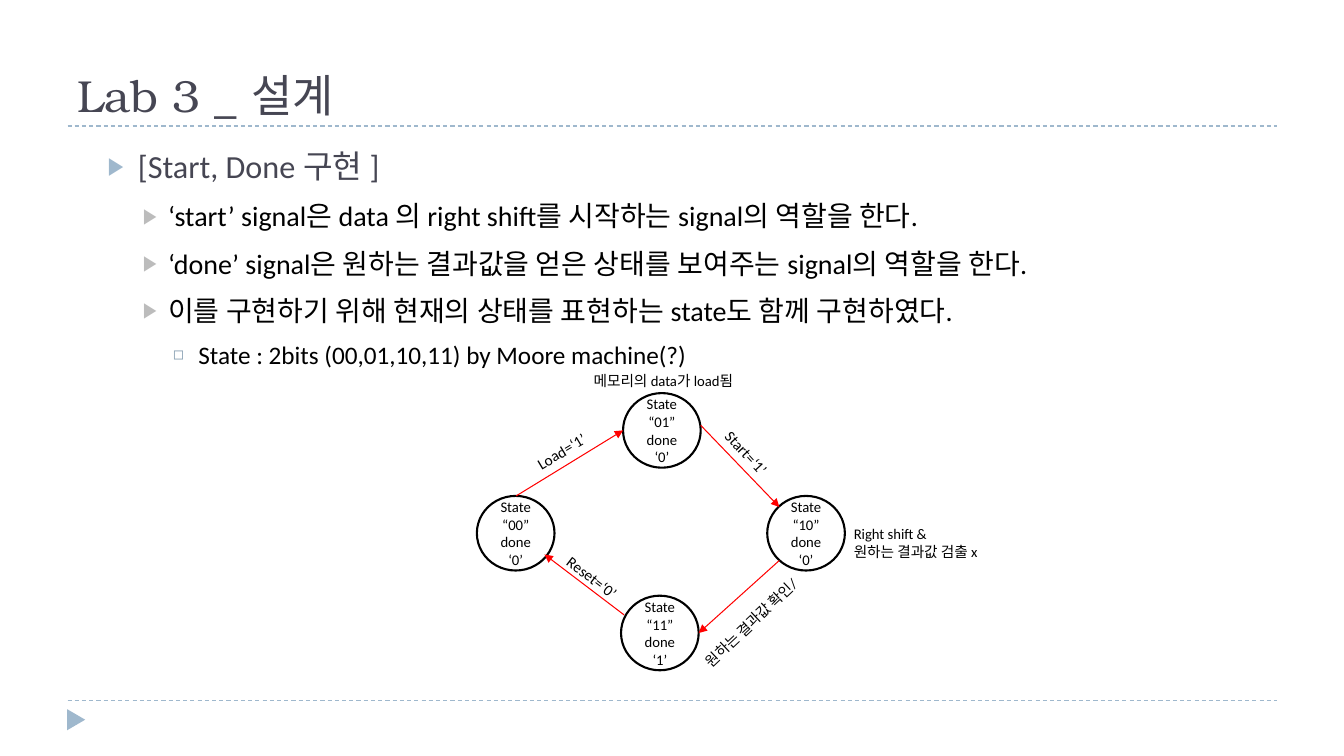
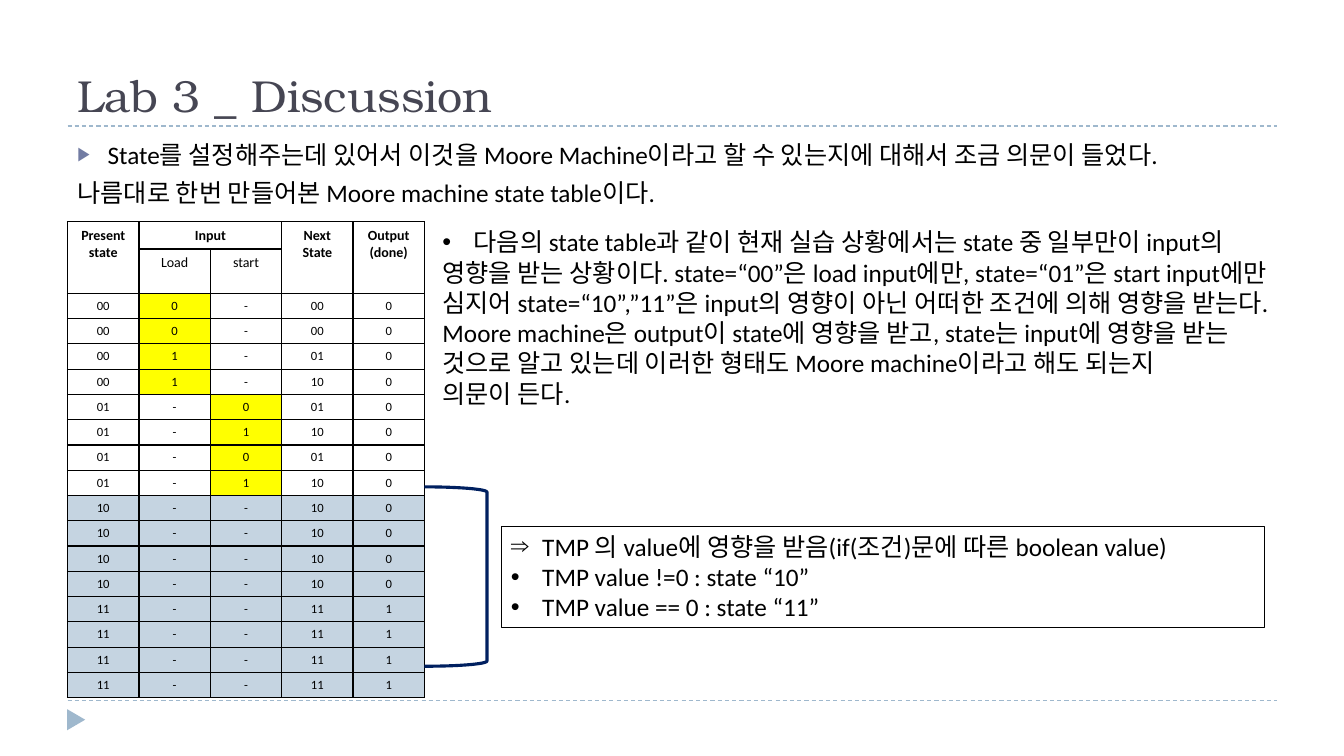
from lxml import etree
from pptx import Presentation
from pptx.dml.color import RGBColor
from pptx.enum import dml, shapes, text
from pptx.oxml import ns
from pptx.util import Inches, Pt

BLACK = RGBColor(0x00, 0x00, 0x00)
WHITE = RGBColor(0xFF, 0xFF, 0xFF)
SLATE = RGBColor(0x46, 0x46, 0x53)
PALE_BLUE = RGBColor(0x9F, 0xB8, 0xCD)
GREY = RGBColor(0xBC, 0xBC, 0xBC)
STEEL = RGBColor(0x8B, 0xA2, 0xB4)
INDIGO = RGBColor(0x72, 0x7C, 0xA3)
RED = RGBColor(0xFF, 0x00, 0x00)
NAVY = RGBColor(0x00, 0x20, 0x60)
YELLOW = RGBColor(0xFF, 0xFF, 0x00)
SHADE = RGBColor(0xC5, 0xD4, 0xE1)

BODY_FONT = "Calibri"
TITLE_FONT = "TeX Gyre Bonum"
LEFT, WIDTH = 0.67, 12
BODY_BOX = (LEFT, 1.33, WIDTH, 5.4)
STATE_SIZE = (0.77, 0.74)

STATES = [
    (4.73, 4.92, "00", "0"),
    (6.18, 3.9, "01", "0"),
    (7.61, 4.92, "10", "0"),
    (6.16, 5.91, "11", "1"),
]
TRANSITIONS = [
    ((5.12, 4.92), (6.18, 4.27)),
    ((6.95, 4.22), (7.73, 5.03)),
    ((7.73, 5.56), (6.93, 6.28)),
    ((6.19, 6.1), (5.4, 5.5)),
]
LABELS = [
    ((5.2, 4.31, 0.83, 0.29), 329.2, 11, ["Load=‘1’"]),
    ((7.03, 4.37, 0.78, 0.29), 47.4, 11, ["Start=‘1’"]),
    ((6.73, 5.97, 1.59, 0.28), 316.6, 10.5, ["원하는 결과값 확인/"]),
    ((5.47, 5.63, 0.92, 0.29), 37.5, 11, ["Reset=‘0’"]),
    ((8.37, 5.16, 1.73, 0.45), 0, 10.5, ["Right shift &", "원하는 결과값 검출 x"]),
    ((5.79, 3.64, 1.73, 0.28), 0, 10.5, ["메모리의 data가 load됨"]),
]
STATE_ROWS = (
    [("00", load, "-", following, "0")
     for load, following in (("0", "00"), ("0", "00"), ("1", "01"), ("1", "10"))]
    + [("01", "-", start, following, "0")
       for start, following in (("0", "01"), ("1", "10")) * 2]
    + [("10", "-", "-", "10", "0")] * 4
    + [("11", "-", "-", "11", "1")] * 4
)
HEADER_CELLS = [
    (0, 0, ["Present state"], True),
    (0, 1, ["Input"], True),
    (0, 3, ["Next", "State"], True),
    (0, 4, ["Output", "(done)"], True),
    (1, 1, ["Load"], False),
    (1, 2, ["start"], False),
]


def inches(values):
    return [Inches(value) for value in values]


def add_xml(parent, tag, **attributes):
    return etree.SubElement(parent, ns.qn(tag), attributes)


def write_paragraph(frame, content, size, color=BLACK, font=BODY_FONT, bold=False,
                    align=None, before=None, spacing=None):
    first = frame.paragraphs[0]
    paragraph = frame.add_paragraph() if first.runs else first
    paragraph.alignment = align
    if before is not None:
        paragraph.space_before = Pt(before)
    if spacing is not None:
        paragraph.line_spacing = spacing
    run = paragraph.add_run()
    run.text = content
    run.font.size = Pt(size)
    run.font.name = font
    run.font.bold = bold
    run.font.color.rgb = color
    return paragraph


def add_bullet(paragraph, character, margin=0.31, indent=0.31, color=BLACK, percent=100):
    properties = paragraph._p.get_or_add_pPr()
    properties.set("marL", str(Inches(margin)))
    properties.set("indent", str(-Inches(indent)))
    add_xml(add_xml(properties, "a:buClr"), "a:srgbClr", val=str(color))
    add_xml(properties, "a:buSzPct", val=str(percent * 1000))
    add_xml(properties, "a:buFont", typeface="Arial")
    add_xml(properties, "a:buChar", char=character)


def add_text_box(slide, box, wrap=True, grow=False):
    shape = slide.shapes.add_textbox(*inches(box))
    shape.text_frame.word_wrap = wrap
    if grow:
        shape.text_frame.auto_size = text.MSO_AUTO_SIZE.SHAPE_TO_FIT_TEXT
    return shape


def add_outline_shape(slide, kind, box, fill=None, line=None, weight=0.75):
    shape = slide.shapes.add_shape(kind, *inches(box))
    shape.shadow.inherit = False
    if fill is None:
        shape.fill.background()
    else:
        shape.fill.solid()
        shape.fill.fore_color.rgb = fill
    if line is None:
        shape.line.fill.background()
    else:
        shape.line.color.rgb = line
        shape.line.width = Pt(weight)
    return shape


def add_line(slide, start, end, color, dashed=False, arrow=False):
    connector = slide.shapes.add_connector(
        shapes.MSO_CONNECTOR.STRAIGHT, *inches(start + end))
    connector.line.color.rgb = color
    connector.line.width = Pt(0.75)
    if dashed:
        connector.line.dash_style = dml.MSO_LINE.DASH
    if arrow:
        add_xml(connector.line._get_or_add_ln(), "a:tailEnd", type="triangle")
    add_xml(connector._element.spPr, "a:effectLst")


def add_titled_slide(presentation, title):
    slide = presentation.slides.add_slide(presentation.slide_layouts[6])
    for top in (6.95, 1.25):
        add_line(slide, (LEFT, top), (LEFT + WIDTH, top), PALE_BLUE, dashed=True)
    marker = add_outline_shape(slide, shapes.MSO_SHAPE.ISOSCELES_TRIANGLE,
                               (0.65, 7.05, 0.21, 0.18), fill=PALE_BLUE)
    marker.rotation = 90
    frame = add_text_box(slide, (LEFT, 0.17, WIDTH, 1.08)).text_frame
    frame.vertical_anchor = text.MSO_ANCHOR.BOTTOM
    write_paragraph(frame, title, 32, SLATE, TITLE_FONT)
    return slide


def add_state(slide, left, top, code, done):
    circle = add_outline_shape(slide, shapes.MSO_SHAPE.FLOWCHART_CONNECTOR,
                               (left, top) + STATE_SIZE, WHITE, BLACK, 1.5)
    frame = circle.text_frame
    frame.margin_left = frame.margin_right = 0
    frame.vertical_anchor = text.MSO_ANCHOR.MIDDLE
    for content in ("State", f"“{code}”", "done", f"‘{done}’"):
        write_paragraph(frame, content, 10.5, align=text.PP_ALIGN.CENTER)


def add_label(slide, box, rotation, size, lines):
    label = add_text_box(slide, box, grow=True)
    label.rotation = rotation
    for content in lines:
        write_paragraph(label.text_frame, content, size)


def style_cell(cell, fill):
    cell.fill.solid()
    cell.fill.fore_color.rgb = fill
    properties = cell._tc.get_or_add_tcPr()
    for position, side in enumerate(("a:lnL", "a:lnR", "a:lnT", "a:lnB")):
        border = etree.Element(ns.qn(side), w=str(Pt(1)))
        add_xml(add_xml(border, "a:solidFill"), "a:srgbClr", val=str(BLACK))
        properties.insert(position, border)


def state_fill(row, column):
    if row[0] in ("10", "11"):
        return SHADE
    return YELLOW if column in (1, 2) and row[column] != "-" else WHITE


def add_state_table(slide):
    heights = [0.27, 0.44] + [0.25] * len(STATE_ROWS)
    frame = slide.shapes.add_table(len(heights), 5,
                                   *inches((LEFT, 2.2, 3.54, sum(heights))))
    table = frame.table
    table.first_row = table.horz_banding = False
    for row, height in zip(table.rows, heights):
        row.height = Inches(height)
    for row in range(2):
        for column in range(5):
            style_cell(table.cell(row, column), WHITE)
    for column in (0, 3, 4):
        table.cell(0, column).merge(table.cell(1, column))
    table.cell(0, 1).merge(table.cell(0, 2))
    for row, column, lines, bold in HEADER_CELLS:
        for content in lines:
            write_paragraph(table.cell(row, column).text_frame, content, 10,
                            bold=bold, align=text.PP_ALIGN.CENTER)
    for index, row in enumerate(STATE_ROWS, 2):
        for column, content in enumerate(row):
            cell = table.cell(index, column)
            style_cell(cell, state_fill(row, column))
            write_paragraph(cell.text_frame, content, 9, align=text.PP_ALIGN.CENTER)


def build_design(presentation):
    slide = add_titled_slide(presentation, "Lab 3 _ 설계")
    frame = add_text_box(slide, BODY_BOX).text_frame
    heading = write_paragraph(frame, "[Start, Done 구현 ]", 23, SLATE, before=5, spacing=1.2)
    add_bullet(heading, "▶", 0.6, 0.3, PALE_BLUE, 76)
    for content in (
        "‘start’ signal은 data 의 right shift를 시작하는 signal의 역할을 한다.",
        "‘done’ signal은 원하는 결과값을 얻은 상태를 보여주는 signal의 역할을 한다.",
        "이를 구현하기 위해 현재의 상태를 표현하는 state도 함께 구현하였다.",
    ):
        point = write_paragraph(frame, content, 20, before=5, spacing=1.2)
        add_bullet(point, "▶", 0.9, 0.25, GREY, 76)
    detail = write_paragraph(frame, "State : 2bits (00,01,10,11) by Moore machine(?)", 18,
                             before=4, spacing=1.2)
    add_bullet(detail, "◻", 1.2, 0.25, STEEL, 70)
    for state in STATES:
        add_state(slide, *state)
    for start, end in TRANSITIONS:
        add_line(slide, start, end, RED, arrow=True)
    for label in LABELS:
        add_label(slide, *label)


def build_discussion(presentation):
    slide = add_titled_slide(presentation, "Lab 3 _ Discussion")
    frame = add_text_box(slide, BODY_BOX).text_frame
    question = write_paragraph(
        frame,
        "State를 설정해주는데 있어서 이것을 Moore Machine이라고 할 수 있는지에 대해서 조금 의문이 들었다.",
        18, before=6)
    add_bullet(question, "▶", 0.3, 0.3, INDIGO, 76)
    write_paragraph(frame, "나름대로 한번 만들어본 Moore machine state table이다.", 18, before=6)
    add_state_table(slide)

    remarks = add_text_box(slide, (4.29, 2.2, 9.07, 2.22), wrap=False, grow=True).text_frame
    for content in (
        "다음의 state table과 같이 현재 실습 상황에서는 state 중 일부만이 input의",
        "영향을 받는 상황이다. state=“00”은 load input에만, state=“01”은 start input에만",
        "심지어 state=“10”,”11”은 input의 영향이 아닌 어떠한 조건에 의해 영향을 받는다.",
        "Moore machine은 output이 state에 영향을 받고, state는 input에 영향을 받는",
        "것으로 알고 있는데 이러한 형태도 Moore machine이라고 해도 되는지",
        "의문이 든다.",
    ):
        write_paragraph(remarks, content, 18)
    add_bullet(remarks.paragraphs[0], "•")

    add_outline_shape(slide, shapes.MSO_SHAPE.RIGHT_BRACKET, (4.21, 4.83, 0.62, 1.78),
                      line=NAVY, weight=2.25)
    note = add_text_box(slide, (4.97, 5.22, 7.57, 1.01), grow=True)
    note.line.color.rgb = BLACK
    note.line.width = Pt(0.75)
    for character, content in (
        ("⇒", "TMP 의 value에 영향을 받음(if(조건)문에 따른 boolean value)"),
        ("•", "TMP value !=0 : state “10”"),
        ("•", "TMP value == 0 : state “11”"),
    ):
        add_bullet(write_paragraph(note.text_frame, content, 18), character)


def main():
    presentation = Presentation()
    presentation.slide_width = Inches(13.33)
    presentation.slide_height = Inches(7.5)
    build_design(presentation)
    build_discussion(presentation)
    presentation.save("out.pptx")


if __name__ == "__main__":
    main()
